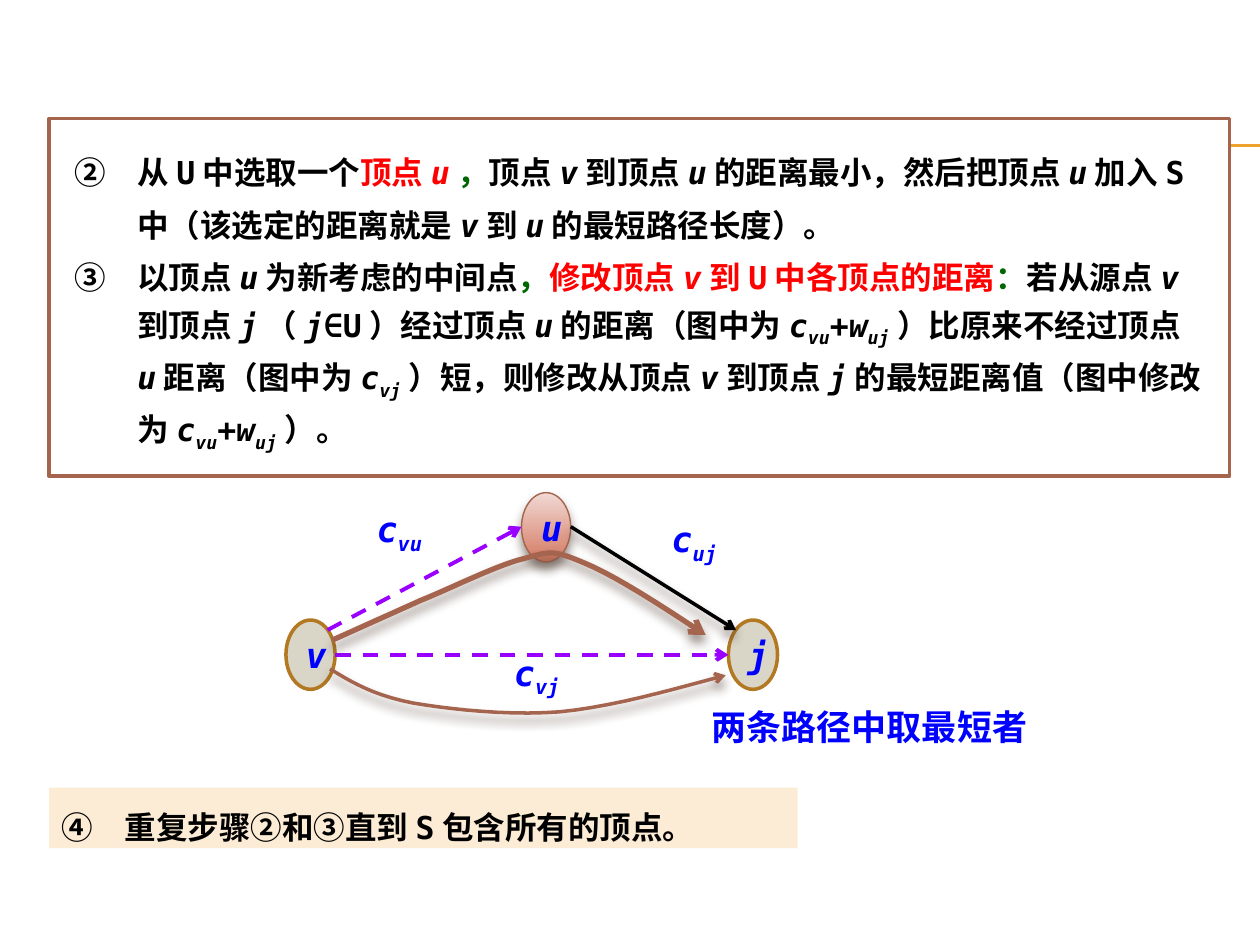
from dataclasses import dataclass
from lxml import etree
from pptx import Presentation
from pptx import util as u
from pptx.dml.color import RGBColor
from pptx.enum import dml, shapes, text
from pptx.oxml import ns

Pt = u.Pt
FONT = "DejaVu Sans Mono"
BLACK, RED, GREEN, BLUE = "000000", "FF0000", "006600", "0000FF"
BROWN, PURPLE, GOLD = "A5644E", "9900FF", "F0A22E"

# Runs are parted by "|". Marks: * italic, _ italic subscript, ! red, ^ green.
STEPS = [
    "从U中选取一个|!顶点|!*u|^，|顶点|*v|到顶点|*u|的距离最小，然后把顶点|*u"
    "|加入S中（该选定的距离就是|*v|到|*u|的最短路径长度）。",
    "以顶点|*u|为新考虑的中间点|^，|!修改顶点|!*v|!到U中各顶点的距离|^：|若从源点|*v"
    "|到顶点|*j|（|*j|∈U）经过顶点|*u|的距离（图中为|*c|_vu|+|*w|_uj"
    "|）比原来不经过顶点|*u|距离（图中为|*c|_vj|）短，则修改从顶点|*v|到顶点|*j"
    "|的最短距离值（图中修改为|*c|_vu|+|*w|_uj|）。",
]
LAST = ["重复步骤②和③直到S包含所有的顶点。"]


@dataclass
class Node:
    name: str
    x: float
    y: float
    fill: str
    edge: str
    width: float


@dataclass
class Edge:
    start: tuple[float, float]
    end: tuple[float, float]
    color: str
    width: float
    dash: bool = False
    arrow: bool = True
    shade: bool = False


@dataclass
class Label:
    words: str
    x: float
    y: float
    width: float


@dataclass
class Curve:
    """Start point, then triples of control, control and end points."""
    start: tuple[float, float]
    bends: list
    width: float


NODES = [
    Node("u", 298, 281.5, "", BROWN, 0.79),
    Node("v", 163.4, 354.3, "D9D5C7", "B27822", 2),
    Node("j", 416.2, 354.3, "D9D5C7", "B27822", 2),
]
RULES = [Edge((40.3, y), (720, y), GOLD, 0.75, arrow=False) for y in (82.8, 83.5)]
EDGES = [
    Edge((191.5, 374.2), (416.2, 374.2), PURPLE, 2.25, dash=True),
    Edge((326.2, 301), (420.5, 360), BLACK, 2, shade=True),
    Edge((187.2, 360), (298, 301), PURPLE, 2.25, dash=True),
]
LABELS = [
    Label("*c|_vu", 208.1, 286.6, 45.4),
    Label("*c|_vj", 286.6, 368.6, 45.4),
    Label("*c|_uj", 376.6, 292.3, 45.4),
    Label("两条路径中取最短者", 399.6, 399.6, 196.6),
]
CURVES = [
    Curve((190, 365.8), [
        ((190, 365.8), (239.8, 343.4), (239.8, 343.4)),
        ((257.8, 336.2), (284.4, 322.6), (300.2, 319)),
        ((315.4, 314.6), (316.8, 314.6), (334.1, 321.8)),
        ((351.4, 329), (377.3, 345.6), (403.2, 362.9)),
    ], 3),
    Curve((188.6, 382.3), [
        ((201.6, 390.2), (213.8, 397.4), (236.2, 401.8)),
        ((257.8, 405.4), (290.2, 409), (319.7, 406.8)),
        ((349.9, 403.9), (382.3, 394.6), (414.7, 385.9)),
    ], 2),
]


def rgb(code: str) -> RGBColor:
    return RGBColor.from_string(code)


def add(node, tag: str, **attrs):
    return etree.SubElement(node, ns.qn(tag), attrs)


def shade(shape, on: bool) -> None:
    """Give the shape a soft drop shadow, or none at all."""
    effect = add(shape._element.spPr, "a:effectLst")
    if on:
        outer = add(effect, "a:outerShdw", blurRad=str(Pt(6)), dist=str(Pt(4)),
                    dir="5400000", rotWithShape="0")
        tint = add(outer, "a:srgbClr", val="4E3B30")
        add(tint, "a:alpha", val="60000")


def stroke(shape, color: str, width: float, arrow=False, dash=False) -> None:
    line = shape.line
    line.color.rgb = rgb(color)
    line.width = Pt(width)
    if dash:
        line.dash_style = dml.MSO_LINE.DASH
    if arrow:
        add(line._get_or_add_ln(), "a:tailEnd", type="arrow")


def write(para, words: str, size: float, color: str) -> None:
    font = para.font
    font.name, font.size, font.bold = FONT, Pt(size), True
    font.color.rgb = rgb(color)
    for piece in words.split("|"):
        body = piece.lstrip("*_!^")
        marks = piece[:len(piece) - len(body)]
        run = para.add_run()
        run.text = body
        if "*" in marks or "_" in marks:
            run.font.italic = True
        if "_" in marks:
            run._r.get_or_add_rPr().set("baseline", "-25000")
        if "!" in marks or "^" in marks:
            run.font.color.rgb = rgb(RED if "!" in marks else GREEN)


def panel(tree, box: tuple, fill: str, steps: list, first: int,
          pad=(7.2, 3.6), edge="") -> None:
    """Draw a filled box holding steps numbered in circles."""
    shape = tree.add_shape(shapes.MSO_SHAPE.RECTANGLE, *map(Pt, box))
    shape.fill.solid()
    shape.fill.fore_color.rgb = rgb(fill)
    if edge:
        stroke(shape, edge, 2)
    else:
        shape.line.fill.background()
    shape.shadow.inherit = False
    frame = shape.text_frame
    frame.word_wrap = True
    frame.vertical_anchor = text.MSO_ANCHOR.TOP
    frame.margin_left = frame.margin_right = Pt(pad[0])
    frame.margin_top = frame.margin_bottom = Pt(pad[1])
    for i, words in enumerate(steps):
        para = frame.add_paragraph() if i else frame.paragraphs[0]
        para.alignment = text.PP_ALIGN.LEFT
        para.line_spacing = Pt(30)
        props = para._p.get_or_add_pPr()
        props.set("marL", str(Pt(36)))
        props.set("indent", str(-Pt(36)))
        add(props, "a:buAutoNum", type="circleNumDbPlain", startAt=str(first))
        write(para, words, 18, BLACK)


def draw_node(tree, node: Node) -> None:
    shape = tree.add_shape(shapes.MSO_SHAPE.OVAL, Pt(node.x), Pt(node.y), Pt(28.1), Pt(39.6))
    fill = shape.fill
    if node.fill:
        fill.solid()
        fill.fore_color.rgb = rgb(node.fill)
    else:
        fill.gradient()
        fill.gradient_angle = 270
        for stop, code in zip(fill.gradient_stops, ("F1D9D4", "D47A62")):
            stop.color.rgb = rgb(code)
    stroke(shape, node.edge, node.width)
    shade(shape, not node.fill)
    frame = shape.text_frame
    frame.vertical_anchor = text.MSO_ANCHOR.MIDDLE
    frame.paragraphs[0].alignment = text.PP_ALIGN.CENTER
    write(frame.paragraphs[0], "*" + node.name, 20, BLUE)


def draw_edge(tree, edge: Edge) -> None:
    line = tree.add_connector(shapes.MSO_CONNECTOR.STRAIGHT, *map(Pt, edge.start + edge.end))
    stroke(line, edge.color, edge.width, edge.arrow, edge.dash)
    shade(line, edge.shade)


def draw_label(tree, label: Label) -> None:
    box = tree.add_textbox(Pt(label.x), Pt(label.y), Pt(label.width), Pt(31.7))
    box.text_frame.word_wrap = True
    write(box.text_frame.paragraphs[0], label.words, 20, BLUE)


def bend(a, b, c, d, t: float) -> tuple:
    """Point at t on a cubic Bezier curve."""
    s = 1 - t
    return tuple(Pt(s**3 * p + 3 * s * s * t * q + 3 * s * t * t * r + t**3 * e)
                 for p, q, r, e in zip(a, b, c, d))


def draw_curve(tree, curve: Curve, steps: int = 10) -> None:
    at, dots = curve.start, []
    for b, c, d in curve.bends:
        dots += [bend(at, b, c, d, i / steps) for i in range(1, steps + 1)]
        at = d
    form = tree.build_freeform(*map(Pt, curve.start))
    form.add_line_segments(dots, close=False)
    shape = form.convert_to_shape()
    shape.fill.background()
    stroke(shape, BROWN, curve.width, arrow=True)
    shade(shape, True)


def main() -> None:
    deck = Presentation()
    deck.slide_width, deck.slide_height = Pt(720), Pt(540)
    tree = deck.slides.add_slide(deck.slide_layouts[6]).shapes
    for rule in RULES:
        draw_edge(tree, rule)
    panel(tree, (28.1, 67.7, 674.6, 204.5), "FFFFFF", STEPS, 2, (14.4, 11.5), BROWN)
    for draw, items in ((draw_node, NODES), (draw_edge, EDGES),
                        (draw_curve, CURVES), (draw_label, LABELS)):
        for item in items:
            draw(tree, item)
    panel(tree, (28.1, 450, 427.7, 34.6), "FCECD5", LAST, 4)
    deck.save("out.pptx")


if __name__ == "__main__":
    main()
